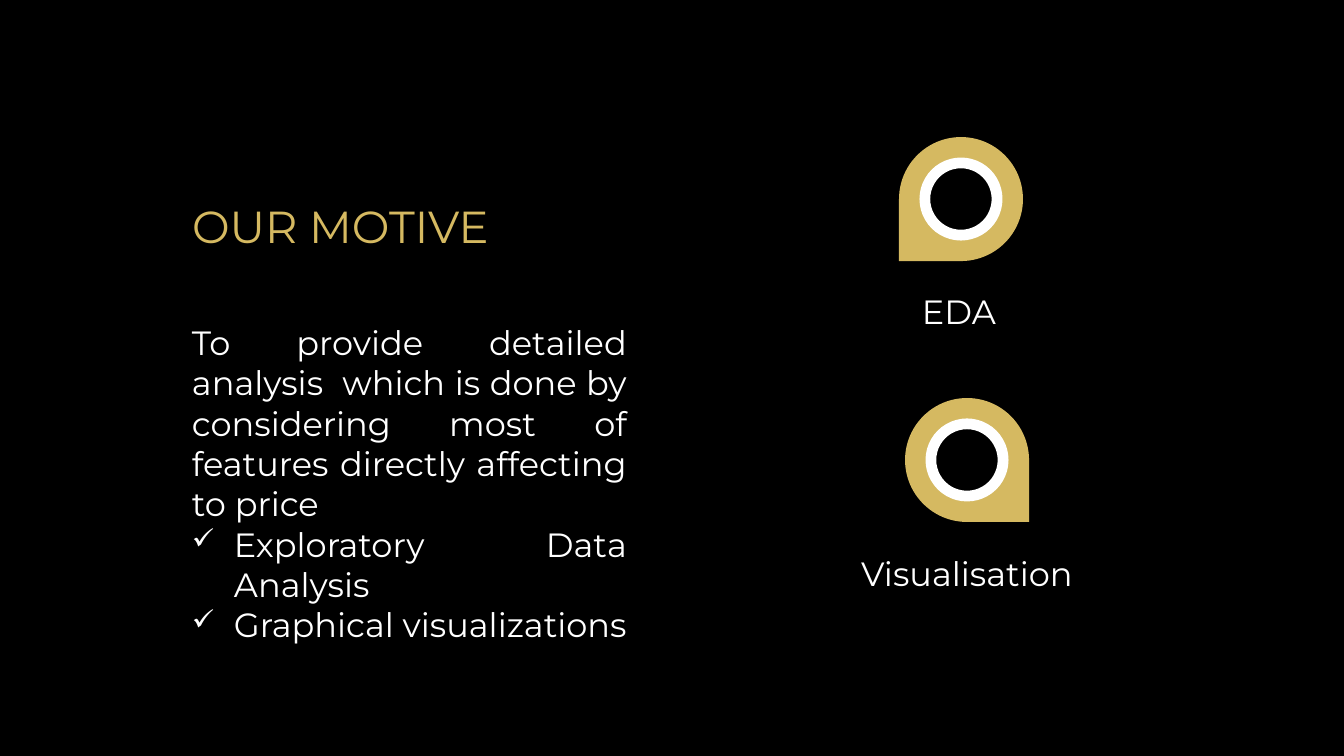
from lxml.etree import SubElement
from pptx import Presentation
from pptx.dml.color import RGBColor
from pptx.enum.shapes import MSO_SHAPE as SHAPE
from pptx.enum.text import MSO_ANCHOR as ANCHOR, PP_ALIGN as ALIGN
from pptx.oxml.ns import qn
from pptx.util import Pt

PX = 914400 / 134.4
GOLD, WHITE, BLACK = "D5B961", "FFFFFF", "000000"
INSET, BULLET_INDENT = 13, 42


def color(value):
    return RGBColor.from_string(value)


def add_text(lines, box, size=18, fill=WHITE, align=ALIGN.LEFT, anchor=ANCHOR.TOP, bullets_from=None):
    frame = slide.shapes.add_textbox(*[round(v * PX) for v in box]).text_frame
    frame.word_wrap = True
    frame.vertical_anchor = anchor
    frame.margin_left = frame.margin_right = round(INSET * PX)
    frame.margin_top = frame.margin_bottom = round(INSET * PX)
    for index, line in enumerate(lines):
        paragraph = frame.add_paragraph() if index else frame.paragraphs[0]
        paragraph.alignment = align
        run = paragraph.add_run()
        run.text = line
        run.font.name = "Montserrat"
        run.font.size = Pt(size)
        run.font.color.rgb = color(fill)
        if bullets_from is not None and index >= bullets_from:
            props = paragraph._p.get_or_add_pPr()
            props.set("marL", str(round(BULLET_INDENT * PX)))
            props.set("indent", str(round(-BULLET_INDENT * PX)))
            bullet_color = SubElement(props, qn("a:buClr"))
            SubElement(bullet_color, qn("a:srgbClr"), val=fill)
            SubElement(props, qn("a:buSzPct"), val="85000")
            SubElement(props, qn("a:buChar"), char="✓")


deck = Presentation()
deck.slide_width, deck.slide_height = round(1344 * PX), round(756 * PX)
slide = deck.slides.add_slide(deck.slide_layouts[6])
slide.background.fill.solid()
slide.background.fill.fore_color.rgb = color(BLACK)

add_text(["OUR MOTIVE"], (179, 190, 413, 75), size=24, fill=GOLD, anchor=ANCHOR.BOTTOM)
add_text(
    [
        "To provide detailed analysis  which is done by considering most of features directly affecting to price",
        "Exploratory Data Analysis",
        "Graphical visualizations",
    ],
    (179, 309, 461, 257),
    align=ALIGN.JUSTIFY,
    bullets_from=1,
)

for label, label_left, label_top, center_x, center_y, rotation in [
    ("EDA", 773, 278, 961, 199, 180),
    ("Visualisation", 781, 540, 967, 460, 90),
]:
    for kind, diameter, fill, turn in [
        (SHAPE.TEAR, 124, GOLD, rotation),
        (SHAPE.OVAL, 72, BLACK, 0),
        (SHAPE.DONUT, 83, WHITE, 0),
    ]:
        layer = slide.shapes.add_shape(
            kind,
            round((center_x - diameter / 2) * PX),
            round((center_y - diameter / 2) * PX),
            round(diameter * PX),
            round(diameter * PX),
        )
        layer.shadow.inherit = False
        layer.fill.solid()
        layer.fill.fore_color.rgb = color(fill)
        layer.line.fill.background()
        layer.rotation = turn
        if kind == SHAPE.DONUT:
            layer.adjustments[0] = 0.13
    add_text([label], (label_left, label_top, 372, 101), align=ALIGN.CENTER)

deck.save("out.pptx")
